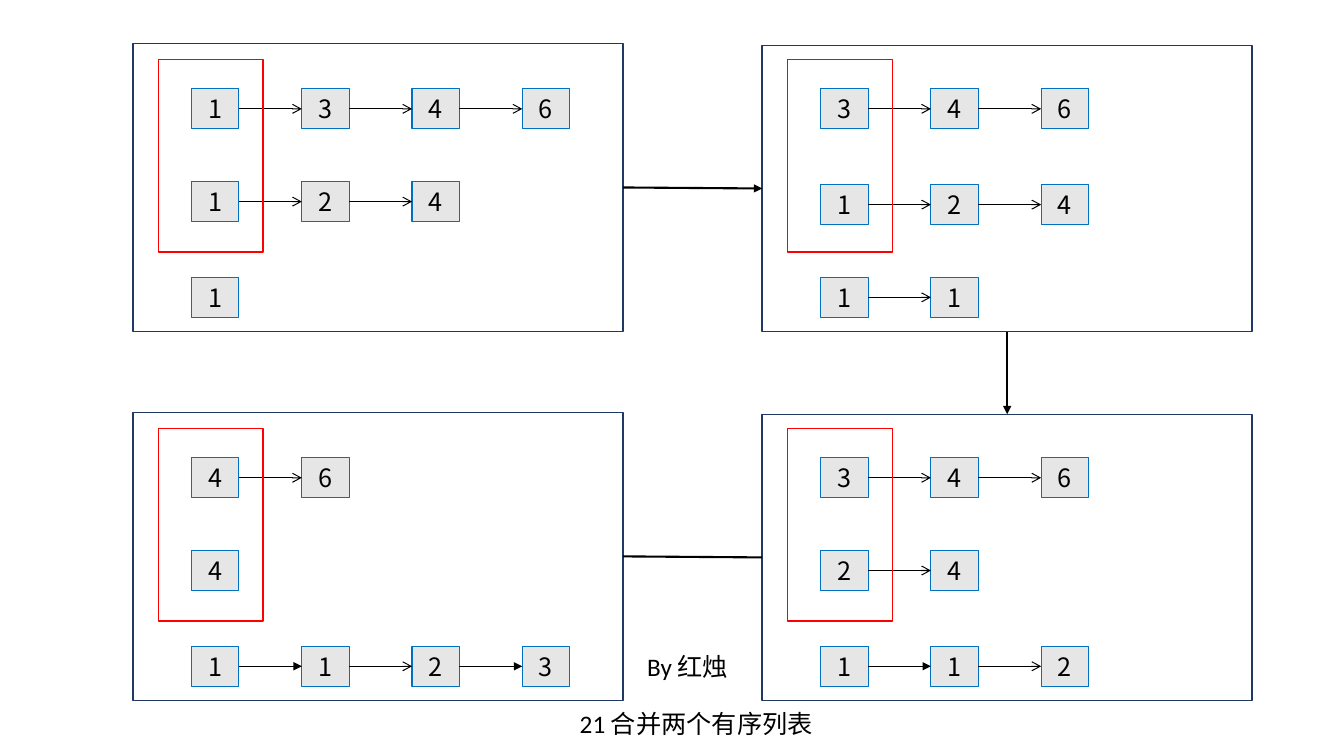
from lxml import etree
from pptx import Presentation, util as u
from pptx.dml.color import RGBColor
from pptx.enum import shapes, text
from pptx.oxml.ns import qn

BLACK = RGBColor(0, 0, 0)
NODE_FILL = RGBColor(0xE7, 0xE6, 0xE6)
NODE_LINE = RGBColor(0x00, 0x70, 0xC0)
PANEL_LINE = RGBColor(0x20, 0x38, 0x64)
HEADS_LINE = RGBColor(0xFF, 0, 0)
CJK_FONT = "Noto Sans CJK SC"

PANEL_LEFTS = (1.32, 7.56)
PANEL_INSETS = (0, 0.02)
BAND_TOPS = (0.43, 4.09)
PANEL_WIDTH, BAND_HEIGHT = 4.86, 2.86
NODE_WIDTH, NODE_HEIGHT = 0.47, 0.4
NODE_PITCH = 3.28 / 3
NODE_INSET = 0.58
ROW_OFFSETS = (0.45, 1.37, 2.32)
SHIFTED_ROW_OFFSETS = (0.45, 1.4, 2.32)
TOP, LEFT, BOTTOM, RIGHT = range(4)
OPEN, SOLID = ("arrow", 0.75), ("triangle", 0.5)

STEPS = (
    (0, 0, ROW_OFFSETS, ("1346", "124", "1"), (OPEN,)),
    (1, 0, SHIFTED_ROW_OFFSETS, ("346", "124", "11"), (OPEN,)),
    (1, 1, ROW_OFFSETS, ("346", "24", "112"), (SOLID, OPEN)),
    (0, 1, ROW_OFFSETS, ("46", "4", "1123"), (SOLID, OPEN)),
)


def write_text(shape, content, font="Calibri", align=text.PP_ALIGN.LEFT,
               anchor=text.MSO_ANCHOR.TOP, wrap=True, margin=0.05):
    frame = shape.text_frame
    frame.word_wrap = wrap
    frame.auto_size = text.MSO_AUTO_SIZE.NONE
    frame.vertical_anchor = anchor
    frame.margin_top = frame.margin_bottom = u.Inches(margin)
    paragraph = frame.paragraphs[0]
    paragraph.alignment = align
    paragraph.line_spacing = 1.0
    run = paragraph.add_run()
    run.text = content
    run.font.name = font
    run.font.size = u.Pt(18)
    run.font.color.rgb = BLACK
    east_asian = etree.Element(qn("a:ea"), typeface=CJK_FONT)
    run.font._element.find(qn("a:latin")).addnext(east_asian)


def add_box(slide, left, top, width, height, line, weight=1, fill=None):
    box = slide.shapes.add_shape(shapes.MSO_SHAPE.RECTANGLE,
                                 *map(u.Inches, (left, top, width, height)))
    box.shadow.inherit = False
    if fill is None:
        box.fill.background()
    else:
        box.fill.solid()
        box.fill.fore_color.rgb = fill
    box.line.color.rgb = line
    box.line.width = u.Pt(weight)
    return box


def link(slide, start, start_side, end, end_side, head=None, weight=1.5):
    connector = slide.shapes.add_connector(shapes.MSO_CONNECTOR.STRAIGHT, 0, 0, 0, 0)
    connector.begin_connect(start, start_side)
    connector.end_connect(end, end_side)
    connector.line.color.rgb = BLACK
    connector.line.width = u.Pt(weight)
    properties = connector._element.spPr
    if head:
        etree.SubElement(properties.find(qn("a:ln")), qn("a:tailEnd"), type=head)
    etree.SubElement(properties, qn("a:effectLst"))


def add_list(slide, left, top, values, link_styles):
    previous = None
    for index, value in enumerate(values):
        node = add_box(slide, left + index * NODE_PITCH, top, NODE_WIDTH, NODE_HEIGHT,
                       NODE_LINE, weight=0.75, fill=NODE_FILL)
        write_text(node, value, font=CJK_FONT, align=text.PP_ALIGN.CENTER,
                   anchor=text.MSO_ANCHOR.MIDDLE, margin=0)
        if previous is not None:
            head, weight = link_styles[(index - 1) % len(link_styles)]
            link(slide, previous, RIGHT, node, LEFT, head, weight)
        previous = node


def add_step(slide, column, band, row_offsets, lists, result_links):
    left, band_top, inset = PANEL_LEFTS[column], BAND_TOPS[band], PANEL_INSETS[column]
    panel = add_box(slide, left, band_top + inset, PANEL_WIDTH, BAND_HEIGHT - inset, PANEL_LINE)
    for row, (offset, values) in enumerate(zip(row_offsets, lists)):
        styles = result_links if row == 2 else (OPEN,)
        add_list(slide, left + NODE_INSET, band_top + offset, values, styles)
    add_box(slide, left + 0.25, band_top + 0.16, 1.04, 1.91, HEADS_LINE)
    return panel


def main():
    presentation = Presentation()
    presentation.slide_width = u.Inches(13.33)
    presentation.slide_height = u.Inches(7.5)
    slide = presentation.slides.add_slide(presentation.slide_layouts[5])

    title = slide.shapes.title
    title.left, title.top, title.width, title.height = map(u.Inches, (5.65, 6.98, 2.7, 0.4))
    write_text(title, "21 合并两个有序列表")
    author = slide.shapes.add_textbox(*map(u.Inches, (6.32, 6.41, 1.09, 0.4)))
    write_text(author, "By 红烛", wrap=False)

    first, second, third, fourth = [add_step(slide, *step) for step in STEPS]
    link(slide, first, RIGHT, second, LEFT, "triangle")
    link(slide, second, BOTTOM, third, TOP, "triangle")
    link(slide, third, LEFT, fourth, RIGHT)

    presentation.save("out.pptx")


if __name__ == "__main__":
    main()
